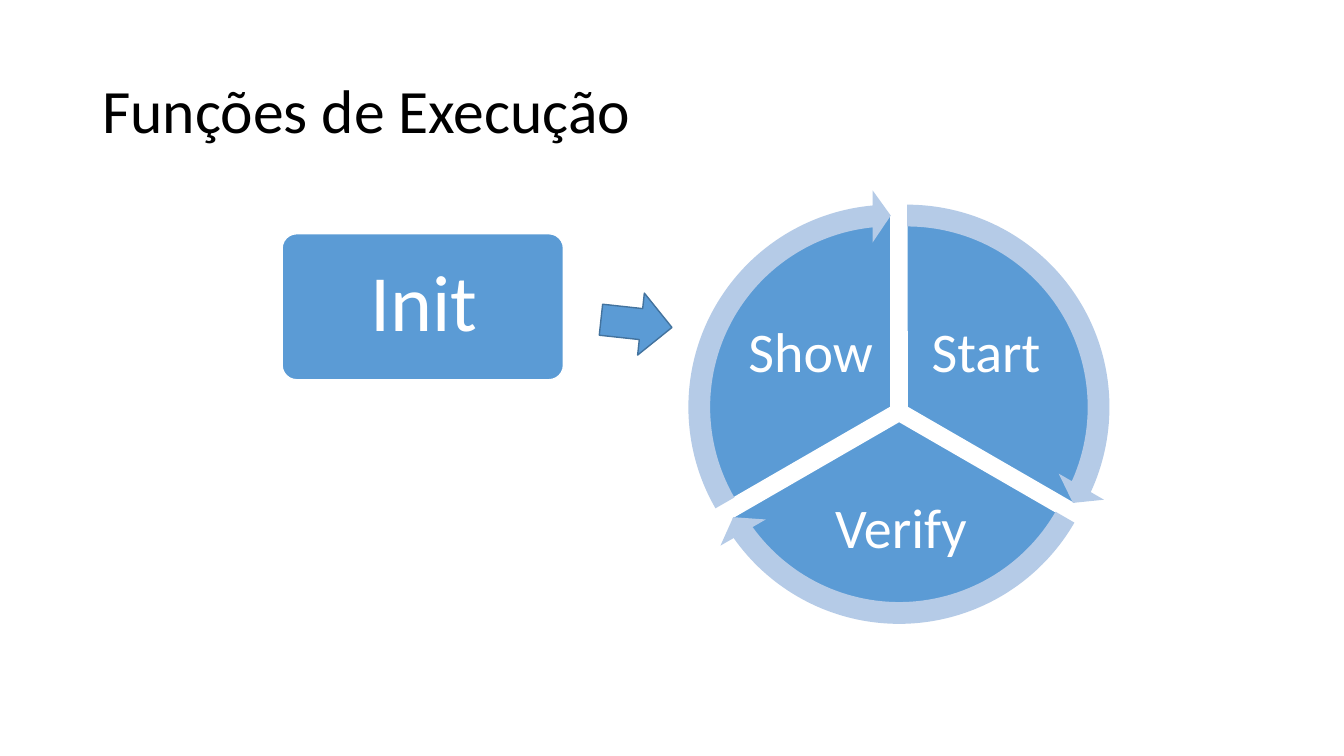
import pptx
import pptx.util
import pptx.dml.color
import pptx.enum.shapes
import pptx.enum.text

Cm = pptx.util.Cm
Pt = pptx.util.Pt
KIND = pptx.enum.shapes.MSO_SHAPE
ALIGN = pptx.enum.text.PP_ALIGN

BLUE = "5B9BD5"
PALE = "B5CBE7"
WHITE = "FFFFFF"
EDGE = "43739E"


def color(code):
    """Turn a hex string into a colour."""
    return pptx.dml.color.RGBColor.from_string(code)


class Deck:
    """Holds the style and the current slide."""

    font = "Calibri"

    def __init__(self, wide, high):
        """Open a deck with one blank slide."""
        self.show = pptx.Presentation()
        self.show.slide_width = Cm(wide)
        self.show.slide_height = Cm(high)
        self.slide = self.show.slides.add_slide(self.show.slide_layouts[6])

    def shape(self, kind, box, fill, line=None, adj=(), turn=0):
        """Add a filled preset shape; box is left, top, width, height in cm."""
        item = self.slide.shapes.add_shape(kind, *map(Cm, box))
        item.shadow.inherit = False
        item.rotation = turn
        item.fill.solid()
        item.fill.fore_color.rgb = color(fill)
        if line:
            item.line.color.rgb = color(line)
            item.line.width = Pt(1)
        else:
            item.line.fill.background()
        for spot, value in enumerate(adj):
            item.adjustments[spot] = value

    def text(self, words, box, size, ink=WHITE, align=ALIGN.CENTER, pad=(0.15, 0.15)):
        """Add a text box, centred in height; pad is side and top inset."""
        frame = self.slide.shapes.add_textbox(*map(Cm, box)).text_frame
        frame.word_wrap = True
        frame.vertical_anchor = pptx.enum.text.MSO_ANCHOR.MIDDLE
        frame.margin_left = frame.margin_right = Cm(pad[0])
        frame.margin_top = frame.margin_bottom = Cm(pad[1])
        frame.text = words
        para = frame.paragraphs[0]
        para.alignment = align
        para.line_spacing = 0.9
        font = para.runs[0].font
        font.name = self.font
        font.size = Pt(size)
        font.color.rgb = color(ink)


def square(mid, side):
    """Give the box of a square around a centre."""
    return mid[0] - side / 2, mid[1] - side / 2, side, side


deck = Deck(33.87, 19.05)
deck.text("Funções de Execução", (2.33, 1.01, 29.21, 3.68), 44, "000000",
          ALIGN.LEFT, (0.25, 0.13))

# Each step: name, centre of its sector, box of its label
steps = [
    ("Start", (22.86, 10.26), (23.11, 7.47, 3.48, 2.9)),
    ("Verify", (22.66, 10.62), (20.09, 12.07, 5.23, 2.57)),
    ("Show", (22.45, 10.26), (18.69, 7.47, 3.48, 2.9)),
]
# Angles count 0.6 to the degree: a full turn is 216, a third is 72
TURN, THIRD, HEAD = 216, 72, 3.28
arcs = [((162 + THIRD * n) % TURN, (18 + THIRD * n) % TURN) for n in range(3)]

for (name, mid, label), arc in zip(steps, arcs):
    deck.shape(KIND.PIE, square(mid, 9.75), BLUE, WHITE, arc)
    deck.text(name, label, 40)
for (name, mid, label), (start, end) in zip(steps, arcs):
    deck.shape(KIND.CIRCULAR_ARROW, square(mid, 10.97), PALE,
               adj=(0.05, HEAD, end - HEAD, start, 0.06))

deck.shape(KIND.ROUNDED_RECTANGLE, (7.11, 5.89, 7.09, 3.68), BLUE, WHITE, (0.1,))
deck.text("Init", (7.24, 5.99, 6.88, 3.45), 57, pad=(0.61, 0.61))
deck.shape(KIND.RIGHT_ARROW, (15.14, 7.37, 1.8, 1.57), BLUE, EDGE, turn=6.2)

deck.show.save("out.pptx")
